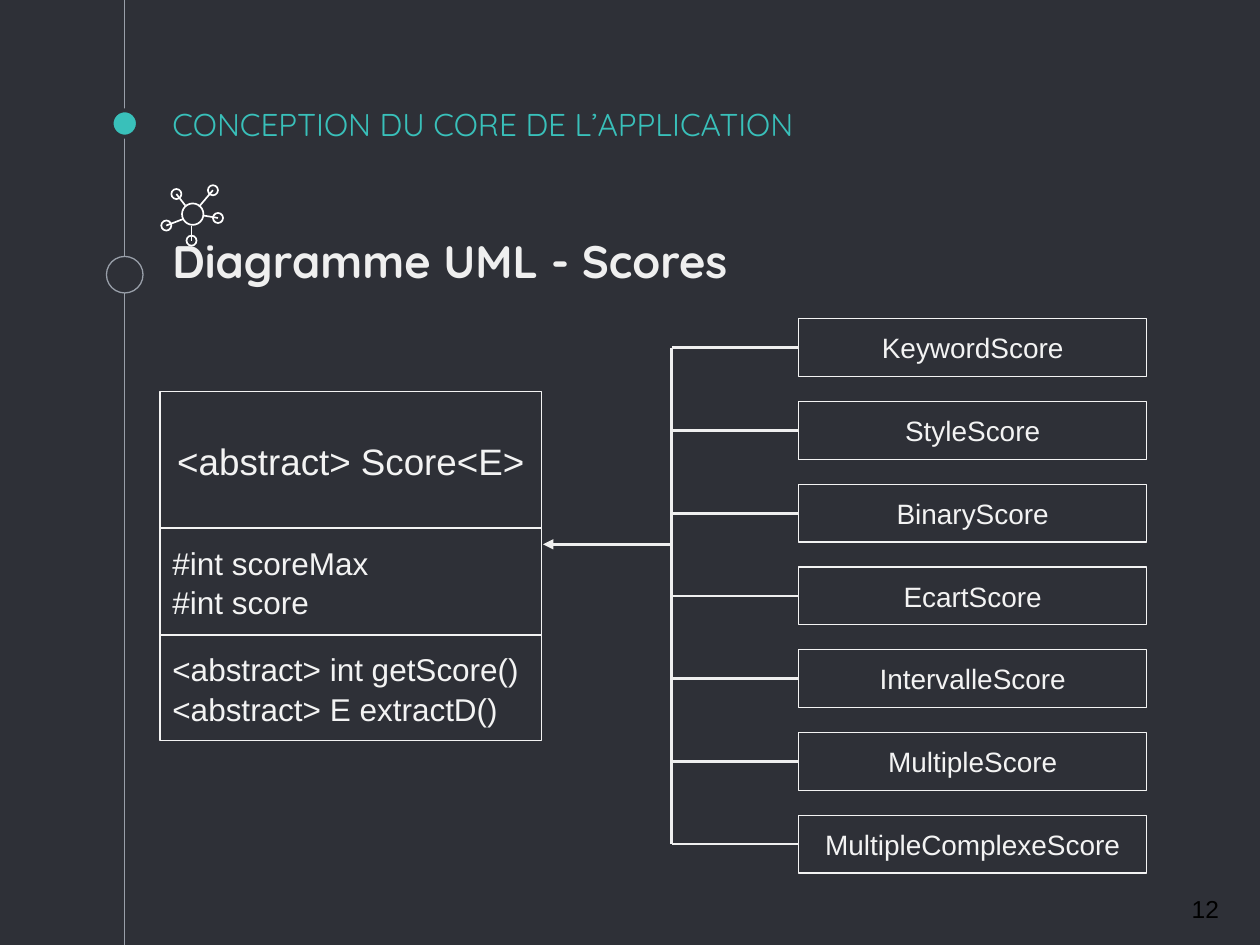
from dataclasses import dataclass

from lxml.etree import SubElement
from pptx import Presentation
from pptx.dml.color import RGBColor
from pptx.enum.shapes import MSO_CONNECTOR, MSO_SHAPE
from pptx.enum.text import MSO_ANCHOR, PP_ALIGN
from pptx.oxml.ns import qn
from pptx.util import Inches, Pt


@dataclass(frozen=True)
class Theme:
    """Colours, fonts and type sizes of the slide."""
    background: str = "2E3037"
    accent: str = "39C0BA"
    rail: str = "999FA9"
    light: str = "EFEFEF"
    box: str = "F3F3F3"
    icon: str = "FFFFFF"
    number: str = "000000"
    heading_font: str = "Quicksand"
    body_font: str = "Arial"
    title_size: int = 18
    subtitle_size: int = 26
    class_size: int = 21
    member_size: int = 18
    subclass_size: int = 16
    number_size: int = 14


THEME = Theme()
SUBCLASSES = ["KeywordScore", "StyleScore", "BinaryScore", "EcartScore",
              "IntervalleScore", "MultipleScore", "MultipleComplexeScore"]
CLASS_SECTIONS = [
    (3.11, 1.08, ["<abstract> Score<E>"], THEME.class_size, PP_ALIGN.CENTER),
    (4.19, 0.85, ["#int scoreMax", "#int score"], THEME.member_size, PP_ALIGN.LEFT),
    (5.04, 0.84, ["<abstract> int getScore()", "<abstract> E extractD()"],
     THEME.member_size, PP_ALIGN.LEFT),
]


def color(value):
    """Turn a hex string into a colour."""
    return RGBColor.from_string(value)


def write_text(shape, lines, size, text_color, font=THEME.body_font, bold=False,
               align=PP_ALIGN.LEFT, anchor=MSO_ANCHOR.MIDDLE, spacing=None):
    """Write one paragraph per line into a shape."""
    frame = shape.text_frame
    frame.word_wrap = True
    frame.vertical_anchor = anchor
    frame.margin_left = frame.margin_right = Inches(0.1)
    frame.margin_top = frame.margin_bottom = Inches(0.1)
    for index, line in enumerate(lines):
        paragraph = frame.add_paragraph() if index else frame.paragraphs[0]
        paragraph.alignment = align
        paragraph.line_spacing = spacing
        run = paragraph.add_run()
        run.text = line
        run.font.size = Pt(size)
        run.font.name = font
        run.font.bold = bold
        run.font.color.rgb = color(text_color)


def add_label(slide, left, top, width, height, text, size, text_color, **style):
    """Add a text box with a single line."""
    label = slide.shapes.add_textbox(
        Inches(left), Inches(top), Inches(width), Inches(height))
    write_text(label, [text], size, text_color, **style)


def add_outline(slide, kind, left, top, width, height, line, weight=0.75, fill=None):
    """Add an outlined preset shape, unfilled unless a fill is given."""
    shape = slide.shapes.add_shape(
        kind, Inches(left), Inches(top), Inches(width), Inches(height))
    shape.shadow.inherit = False
    if fill:
        shape.fill.solid()
        shape.fill.fore_color.rgb = color(fill)
    else:
        shape.fill.background()
    shape.line.color.rgb = color(line)
    shape.line.width = Pt(weight)
    return shape


def add_circle(slide, center_x, center_y, diameter, line, weight=0.75, fill=None):
    """Add a circle placed by its centre."""
    add_outline(slide, MSO_SHAPE.OVAL, center_x - diameter / 2,
                center_y - diameter / 2, diameter, diameter, line, weight, fill)


def add_line(slide, start, end, line, weight, arrow=False):
    """Add a straight line, with an optional arrowhead at its end."""
    connector = slide.shapes.add_connector(
        MSO_CONNECTOR.STRAIGHT, *(Inches(value) for value in (*start, *end)))
    connector.line.color.rgb = color(line)
    connector.line.width = Pt(weight)
    if arrow:
        SubElement(connector.line._get_or_add_ln(), qn("a:tailEnd"), type="triangle")
    SubElement(connector._element.spPr, qn("a:effectLst"))


def add_rail(slide):
    """Draw the vertical rail with its two markers."""
    add_line(slide, (0.99, 0), (0.99, 7.5), THEME.rail, 0.75)
    add_circle(slide, 0.99, 0.98, 0.21, THEME.background, 2.25, THEME.accent)
    add_circle(slide, 0.99, 2.18, 0.29, THEME.rail, 0.75, THEME.background)


def add_network_icon(slide):
    """Draw a hub joined to five small nodes."""
    spokes = [  # node centre, line start, line end
        ((1.69, 1.51), (1.58, 1.64), (1.69, 1.51)),
        ((1.40, 1.54), (1.40, 1.54), (1.47, 1.63)),
        ((1.32, 1.79), (1.32, 1.79), (1.45, 1.74)),
        ((1.52, 1.91), (1.52, 1.91), (1.52, 1.79)),
        ((1.73, 1.73), (1.73, 1.73), (1.61, 1.71)),
    ]
    add_circle(slide, 1.53, 1.70, 0.17, THEME.icon, 0.96)
    for node, start, end in spokes:
        add_circle(slide, *node, 0.08, THEME.icon, 0.96)
        add_line(slide, start, end, THEME.icon, 0.96)


def add_score_class(slide):
    """Draw the three stacked sections of the abstract class."""
    for top, height, lines, size, align in CLASS_SECTIONS:
        section = add_outline(slide, MSO_SHAPE.RECTANGLE, 1.27, top, 3.03, height,
                              THEME.box)
        write_text(section, lines, size, THEME.box, align=align, spacing=1.05)


def add_subclasses(slide):
    """Draw the subclasses and the tree that leads to the abstract class."""
    left, height, trunk = 6.34, 0.46, 5.33
    first_top, last_top = 2.53, 6.47
    step = (last_top - first_top) / (len(SUBCLASSES) - 1)
    for index, name in enumerate(SUBCLASSES):
        top = first_top + index * step
        middle = top + height / 2
        box = add_outline(slide, MSO_SHAPE.RECTANGLE, left, top, 2.76, height, THEME.box)
        write_text(box, [name], THEME.subclass_size, THEME.box, align=PP_ALIGN.CENTER)
        add_line(slide, (left, middle), (trunk, middle), THEME.light, 1.5)
    add_line(slide, (trunk, first_top + height / 2), (trunk, last_top + height / 2),
             THEME.light, 1.5)
    add_line(slide, (trunk, 4.32), (4.31, 4.32), THEME.light, 1.5, arrow=True)


def main():
    """Build the slide and save it."""
    presentation = Presentation()
    presentation.slide_width = Inches(10)
    presentation.slide_height = Inches(7.5)
    slide = presentation.slides.add_slide(presentation.slide_layouts[6])
    slide.background.fill.solid()
    slide.background.fill.fore_color.rgb = color(THEME.background)

    add_rail(slide)
    add_label(slide, 1.27, 0.73, 7.5, 0.5, "CONCEPTION DU CORE DE L’APPLICATION",
              THEME.title_size, THEME.accent, font=THEME.heading_font,
              anchor=MSO_ANCHOR.BOTTOM)
    add_label(slide, 1.27, 1.75, 7.5, 0.84, "Diagramme UML - Scores",
              THEME.subtitle_size, THEME.light, font=THEME.heading_font, bold=True,
              anchor=MSO_ANCHOR.TOP)
    add_score_class(slide)
    add_label(slide, 9.36, 6.93, 0.6, 0.57, "12", THEME.number_size, THEME.number)
    add_network_icon(slide)
    add_subclasses(slide)
    presentation.save("out.pptx")


main()
